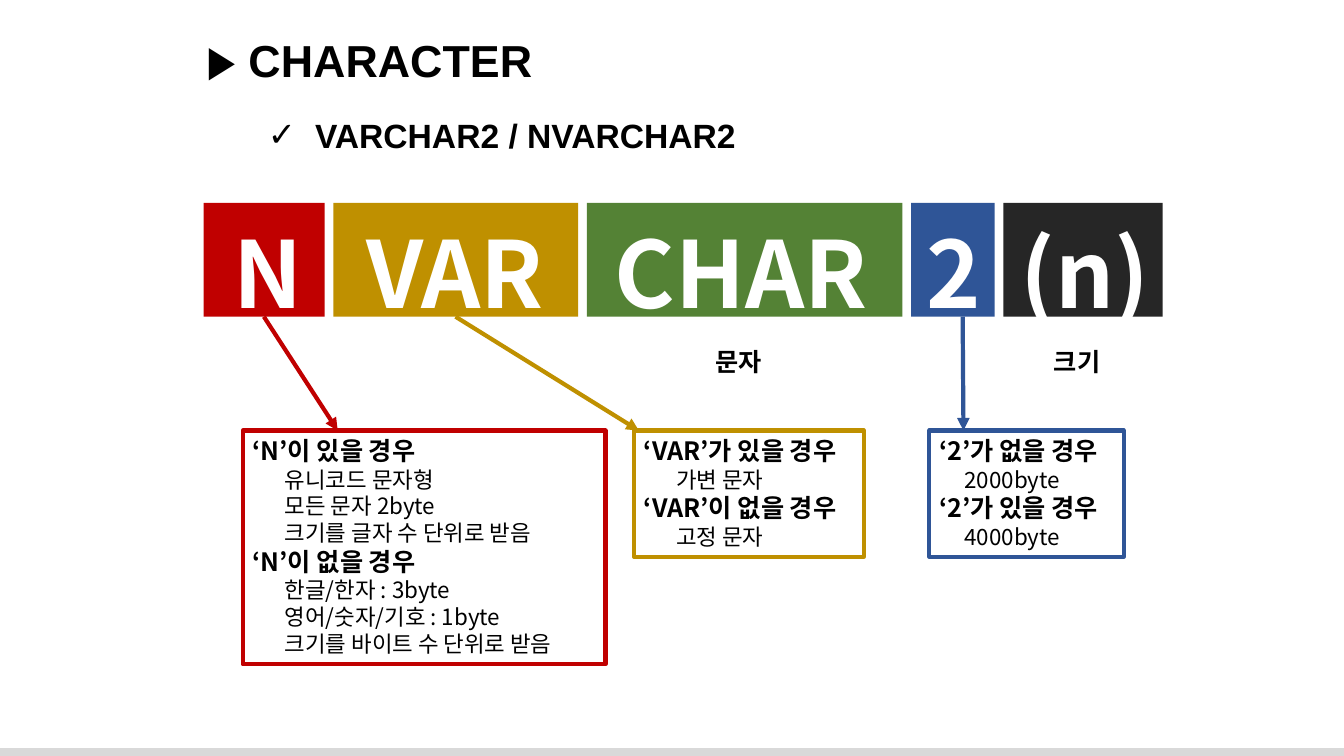
from dataclasses import dataclass

from lxml.etree import SubElement
from pptx import Presentation
from pptx.dml.color import RGBColor
from pptx.enum.shapes import MSO_CONNECTOR as Connector, MSO_SHAPE as Preset
from pptx.enum.text import MSO_ANCHOR as Anchor, PP_ALIGN as Align
from pptx.oxml.ns import qn
from pptx.util import Cm, Pt


@dataclass(frozen=True)
class Theme:
    red: str = "C00000"
    gold: str = "BF9000"
    green: str = "548235"
    blue: str = "2F5597"
    dark: str = "262626"
    footer: str = "D9D9D9"
    ink: str = "000000"
    paper: str = "FFFFFF"
    latin: str = "Arial"
    korean: str = "Noto Sans CJK KR"
    title: int = 32
    subtitle: int = 24
    keyword: int = 66
    heading: int = 18
    detail: int = 16
    stroke: int = 3


@dataclass(frozen=True)
class Part:
    """One piece of the type name: its block and its table column, in cm."""
    word: str
    color: str
    width: float
    column: float


@dataclass(frozen=True)
class Case:
    heading: str
    details: tuple[str, ...]


@dataclass(frozen=True)
class Note:
    """An outlined explanation and the arrow that leads to it, in cm."""
    color: str
    left: float
    width: float
    height: float
    indent: float
    arrow_from: float
    arrow_to: float
    cases: tuple[Case, ...]


@dataclass(frozen=True)
class Label:
    text: str
    left: float


THEME = Theme()
NO_GRID_STYLE = "{2D5ABB26-0587-4C30-8999-92F81FD0307C}"
BLOCK_LEFT, BLOCK_TOP, BLOCK_HEIGHT, BLOCK_GAP = 5.13, 5.11, 2.87, 0.22
NOTE_TOP = 10.85

PARTS = (
    Part("N", THEME.red, 3.05, 3.15),
    Part("VAR", THEME.gold, 6.17, 6.27),
    Part("CHAR", THEME.green, 7.95, 8.15),
    Part("2", THEME.blue, 2.11, 2.57),
    Part("(n)", THEME.dark, 4.01, 4.04),
)
NOTES = (
    Note(THEME.red, 6.12, 9.14, 5.89, 0.81, 6.65, 8.51, (
        Case("‘N’이 있을 경우", ("유니코드 문자형", "모든 문자 2byte", "크기를 글자 수 단위로 받음")),
        Case("‘N’이 없을 경우", ("한글/한자 : 3byte", "영어/숫자/기호 : 1byte",
                             "크기를 바이트 수 단위로 받음")),
    )),
    Note(THEME.gold, 15.98, 5.79, 3.18, 0.81, 11.48, 16.1, (
        Case("‘VAR’가 있을 경우", ("가변 문자",)),
        Case("‘VAR’이 없을 경우", ("고정 문자",)),
    )),
    Note(THEME.blue, 23.42, 4.9, 3.18, 0.64, 24.26, 24.28, (
        Case("‘2’가 없을 경우", ("2000byte",)),
        Case("‘2’가 있을 경우", ("4000byte",)),
    )),
)
LABELS = (Label("문자", 17.78), Label("크기", 26.31))


def rgb(color: str) -> RGBColor:
    return RGBColor.from_string(color)


def write(frame, text: str, *, size: int, font: str = THEME.korean, color: str = THEME.ink,
          bold: bool = True, align=Align.LEFT, indent: float = 0, bullet: str = "") -> None:
    """Add one paragraph, filling the empty first one before adding more."""
    first = frame.paragraphs[0]
    paragraph = frame.add_paragraph() if first.runs else first
    paragraph.alignment = align
    properties = paragraph._p.get_or_add_pPr()
    properties.set("marL", str(Cm(indent)))
    if bullet:
        properties.set("indent", str(-Cm(indent)))
        SubElement(properties, qn("a:buFont"), typeface=font)
        SubElement(properties, qn("a:buChar"), char=bullet)
    run = paragraph.add_run()
    run.text = text
    run.font.name, run.font.size, run.font.bold = font, Pt(size), bold
    run.font.color.rgb = rgb(color)
    SubElement(run._r.get_or_add_rPr(), qn("a:ea"), typeface=font)


def add_text(slide, left: float, top: float, width: float, height: float, text: str,
             **style) -> None:
    frame = slide.shapes.add_textbox(Cm(left), Cm(top), Cm(width), Cm(height)).text_frame
    frame.word_wrap = True
    write(frame, text, **style)


def add_box(slide, left: float, top: float, width: float, height: float, *,
            fill: str = "", line: str = ""):
    box = slide.shapes.add_shape(Preset.RECTANGLE, Cm(left), Cm(top), Cm(width), Cm(height))
    box.shadow.inherit = False
    if fill:
        box.fill.solid()
        box.fill.fore_color.rgb = rgb(fill)
    else:
        box.fill.background()
    if line:
        box.line.color.rgb = rgb(line)
        box.line.width = Pt(THEME.stroke)
    else:
        box.line.fill.background()
    return box


def add_blocks(slide, parts: tuple[Part, ...]) -> None:
    left = BLOCK_LEFT
    for part in parts:
        add_box(slide, left, BLOCK_TOP, part.width, BLOCK_HEIGHT, fill=part.color)
        left += part.width + BLOCK_GAP


def add_type_name(slide, parts: tuple[Part, ...]) -> None:
    total = sum(part.column for part in parts)
    table = slide.shapes.add_table(1, len(parts), Cm(5.18), Cm(4.95), Cm(total), Cm(2.51)).table
    table.first_row = table.horz_banding = False
    table._tbl.tblPr.find(qn("a:tableStyleId")).text = NO_GRID_STYLE
    for column, cell, part in zip(table.columns, table.rows[0].cells, parts):
        column.width = Cm(part.column)
        cell.fill.background()
        cell.vertical_anchor = Anchor.MIDDLE
        write(cell.text_frame, part.word, size=THEME.keyword, color=THEME.paper,
              align=Align.CENTER)


def add_note(slide, note: Note) -> None:
    frame = add_box(slide, note.left, NOTE_TOP, note.width, note.height,
                    line=note.color).text_frame
    frame.word_wrap = True
    frame.vertical_anchor = Anchor.TOP
    for case in note.cases:
        write(frame, case.heading, size=THEME.heading)
        for detail in case.details:
            write(frame, detail, size=THEME.detail, bold=False, indent=note.indent)


def add_arrow(slide, note: Note) -> None:
    arrow = slide.shapes.add_connector(Connector.STRAIGHT, Cm(note.arrow_from),
                                       Cm(BLOCK_TOP + BLOCK_HEIGHT),
                                       Cm(note.arrow_to), Cm(NOTE_TOP))
    arrow.line.color.rgb = rgb(note.color)
    arrow.line.width = Pt(THEME.stroke)
    SubElement(arrow.line._get_or_add_ln(), qn("a:tailEnd"), type="triangle")
    SubElement(arrow._element.spPr, qn("a:effectLst"))


deck = Presentation()
deck.slide_width, deck.slide_height = Cm(33.87), Cm(19.05)
slide = deck.slides.add_slide(deck.slide_layouts[6])

# Footer bar and headings
add_box(slide, 0, 18.85, 33.87, 0.2, fill=THEME.footer)
add_text(slide, 4.95, 0.71, 24, 1.63, "▶ CHARACTER", size=THEME.title, font=THEME.latin)
add_text(slide, 6.5, 2.77, 12.52, 1.27, "VARCHAR2 / NVARCHAR2", size=THEME.subtitle,
         font=THEME.latin, indent=1.19, bullet="✓")

# Type name over its coloured blocks
add_blocks(slide, PARTS)
add_type_name(slide, PARTS)

# Explanations, labels and arrows
for note in NOTES:
    add_note(slide, note)
for label in LABELS:
    add_text(slide, label.left, 8.59, 1.8, 1.02, label.text, size=THEME.heading)
for note in NOTES:
    add_arrow(slide, note)

deck.save("out.pptx")
